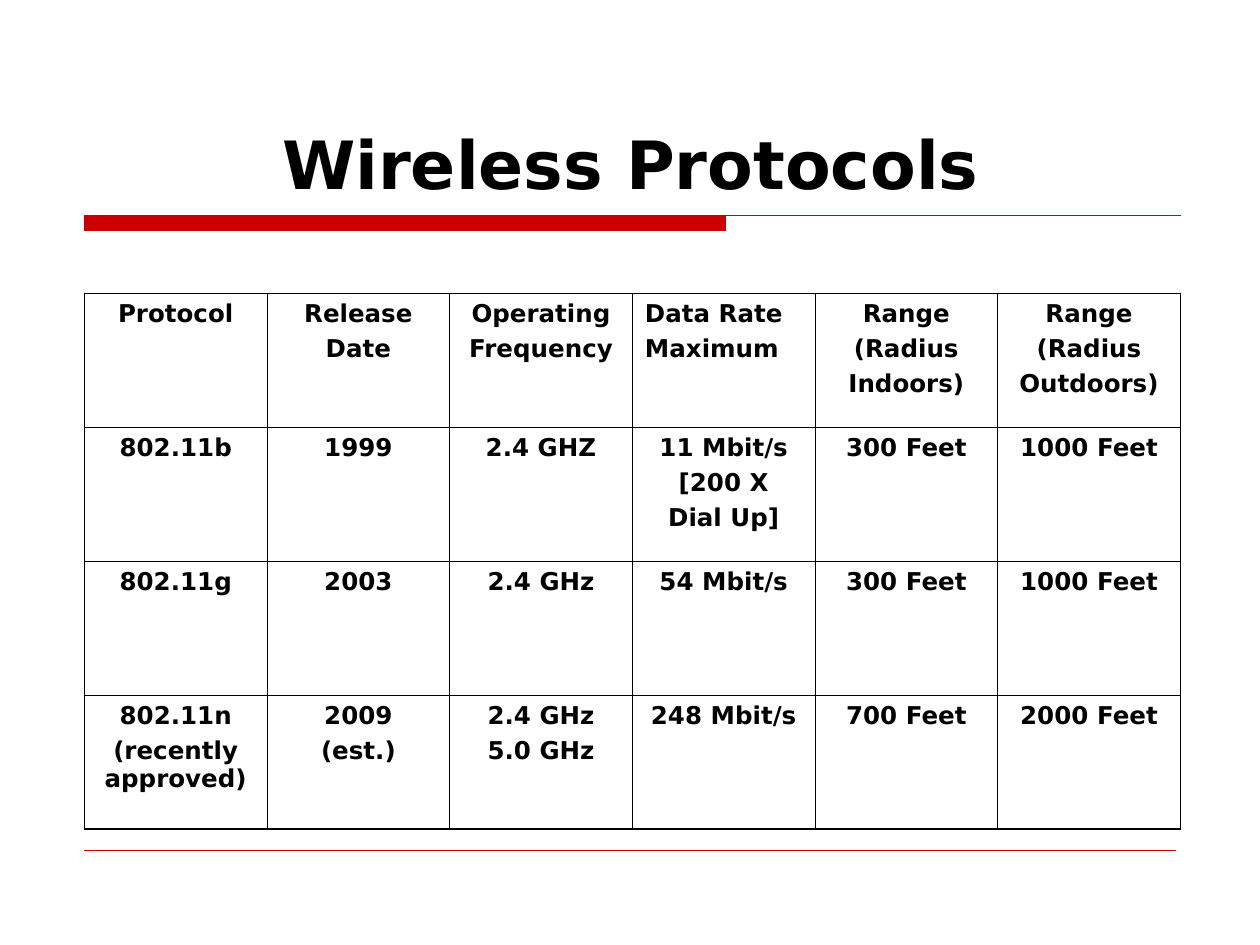
import pptx
import pptx.dml.color
import pptx.enum.shapes
import pptx.enum.text
import pptx.oxml.ns
import pptx.util
from lxml import etree
from pptx.util import Inches

FONT = "DejaVu Sans"
BLACK = "000000"
RED = "CC0000"
LEFT, RIGHT = 0.67, 9.37
ROWS = [
    ["Protocol", "Release\nDate", "Operating\nFrequency", "Data Rate\nMaximum",
     "Range\n(Radius\nIndoors)", "Range\n(Radius\nOutdoors)"],
    ["802.11b", "1999", "2.4 GHZ", "11 Mbit/s\n[200 X\nDial Up]", "300 Feet", "1000 Feet"],
    ["802.11g", "2003", "2.4 GHz", "54 Mbit/s", "300 Feet", "1000 Feet"],
    ["802.11n\n(recently approved)", "2009\n(est.)", "2.4 GHz\n5.0 GHz", "248 Mbit/s",
     "700 Feet", "2000 Feet"],
]
LEFT_ALIGNED = "Data Rate\nMaximum"
OUTER_BORDER, INNER_BORDER = 1.08, 0.45


def color(hex_string):
    return pptx.dml.color.RGBColor.from_string(hex_string)


def write_text(frame, text, size, centered=True, space_before=0):
    frame.text = text
    align = pptx.enum.text.PP_ALIGN
    for paragraph in frame.paragraphs:
        paragraph.alignment = align.CENTER if centered else align.LEFT
        paragraph.space_before = pptx.util.Pt(space_before)
        paragraph.font.name = FONT
        paragraph.font.size = pptx.util.Pt(size)
        paragraph.font.bold = True
        paragraph.font.color.rgb = color(BLACK)


def add_title(slide, text):
    title = slide.shapes.add_textbox(Inches(0.63), Inches(0.33), Inches(8.75), Inches(1.33))
    frame = title.text_frame
    frame.word_wrap = True
    frame.vertical_anchor = pptx.enum.text.MSO_ANCHOR.BOTTOM
    write_text(frame, text, 38)


def add_title_bar(slide):
    """Thick bar under the title that runs on as a thin rule."""
    top, bottom, bar_end = Inches(1.71), Inches(1.83), Inches(5.76)
    left, right = Inches(LEFT), Inches(RIGHT)
    builder = slide.shapes.build_freeform(left, top)
    builder.add_line_segments([(bar_end, top), (bar_end, bottom), (left, bottom)], close=True)
    builder.move_to(left, top)
    builder.add_line_segments([(right, top)], close=False)
    bar = builder.convert_to_shape()
    bar.shadow.inherit = False
    bar.fill.solid()
    bar.fill.fore_color.rgb = color(RED)
    bar.line.color.rgb = color(RED)
    bar.line.width = pptx.util.Pt(0.75)


def add_footer_rule(slide):
    y = Inches(6.75)
    rule = slide.shapes.add_connector(
        pptx.enum.shapes.MSO_CONNECTOR.STRAIGHT, Inches(LEFT), y, Inches(9.33), y)
    rule.line.color.rgb = color(RED)
    rule.line.width = pptx.util.Pt(0.25)
    etree.SubElement(rule._element.spPr, pptx.oxml.ns.qn("a:effectLst"))


def set_borders(cell, widths):
    """Draw solid borders; widths maps the sides L, R, T, B, in that order, to points."""
    qn = pptx.oxml.ns.qn
    properties = cell._tc.get_or_add_tcPr()
    for side, width in widths.items():
        border = etree.SubElement(properties, qn(f"a:ln{side}"), w=str(pptx.util.Pt(width)))
        fill = etree.SubElement(border, qn("a:solidFill"))
        etree.SubElement(fill, qn("a:srgbClr"), val=BLACK)


def add_protocol_table(slide):
    row_count, column_count = len(ROWS), len(ROWS[0])
    table = slide.shapes.add_table(
        row_count, column_count, Inches(LEFT), Inches(2.33),
        Inches(RIGHT - LEFT), Inches(4.25)).table
    table.first_row = False
    table.horz_banding = False
    for r, row in enumerate(ROWS):
        for c, text in enumerate(row):
            cell = table.cell(r, c)
            write_text(cell.text_frame, text, 14, text != LEFT_ALIGNED, 3.5)
            on_edge = {"L": c == 0, "R": c == column_count - 1,
                       "T": r == 0, "B": r == row_count - 1}
            set_borders(cell, {side: OUTER_BORDER if edge else INNER_BORDER
                               for side, edge in on_edge.items()})
            cell.fill.background()


def main():
    presentation = pptx.Presentation()
    presentation.slide_width = Inches(10)
    presentation.slide_height = Inches(7.5)
    slide = presentation.slides.add_slide(presentation.slide_layouts[6])
    add_title_bar(slide)
    add_footer_rule(slide)
    add_title(slide, "Wireless Protocols")
    add_protocol_table(slide)
    presentation.save("out.pptx")


if __name__ == "__main__":
    main()
